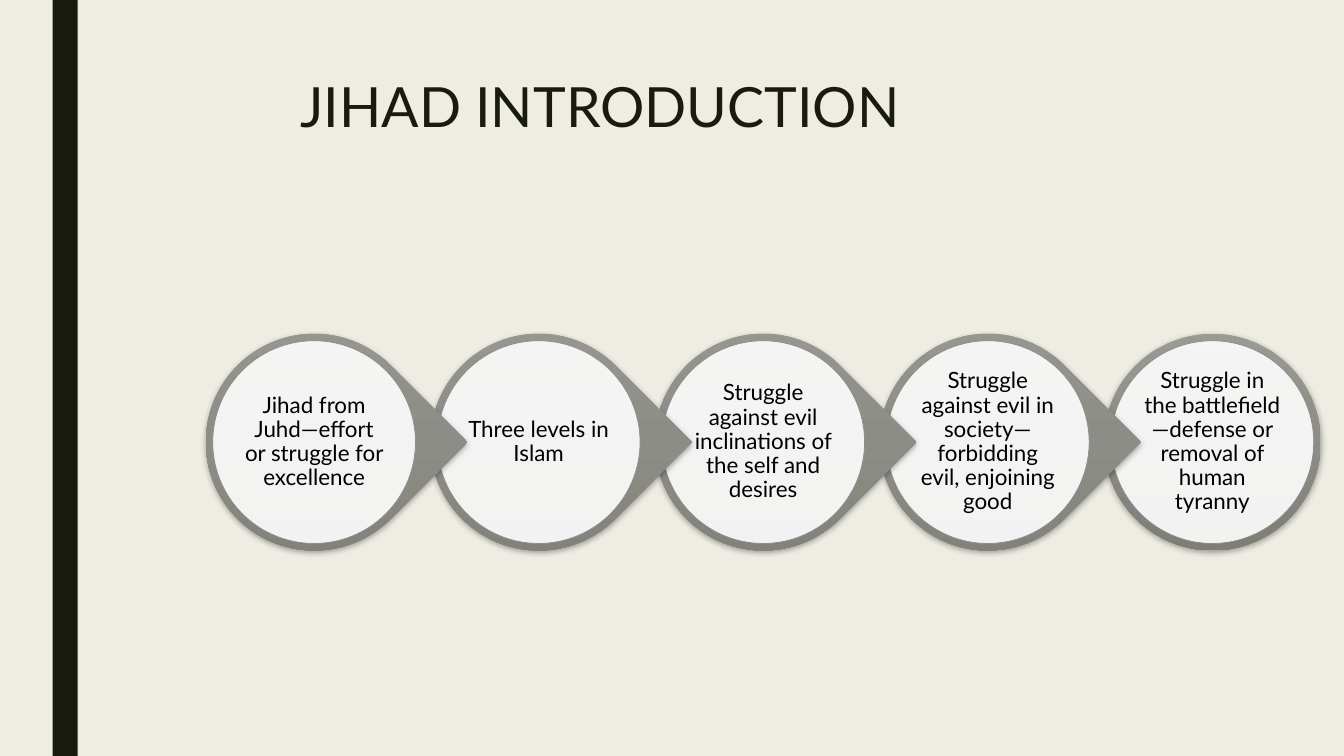
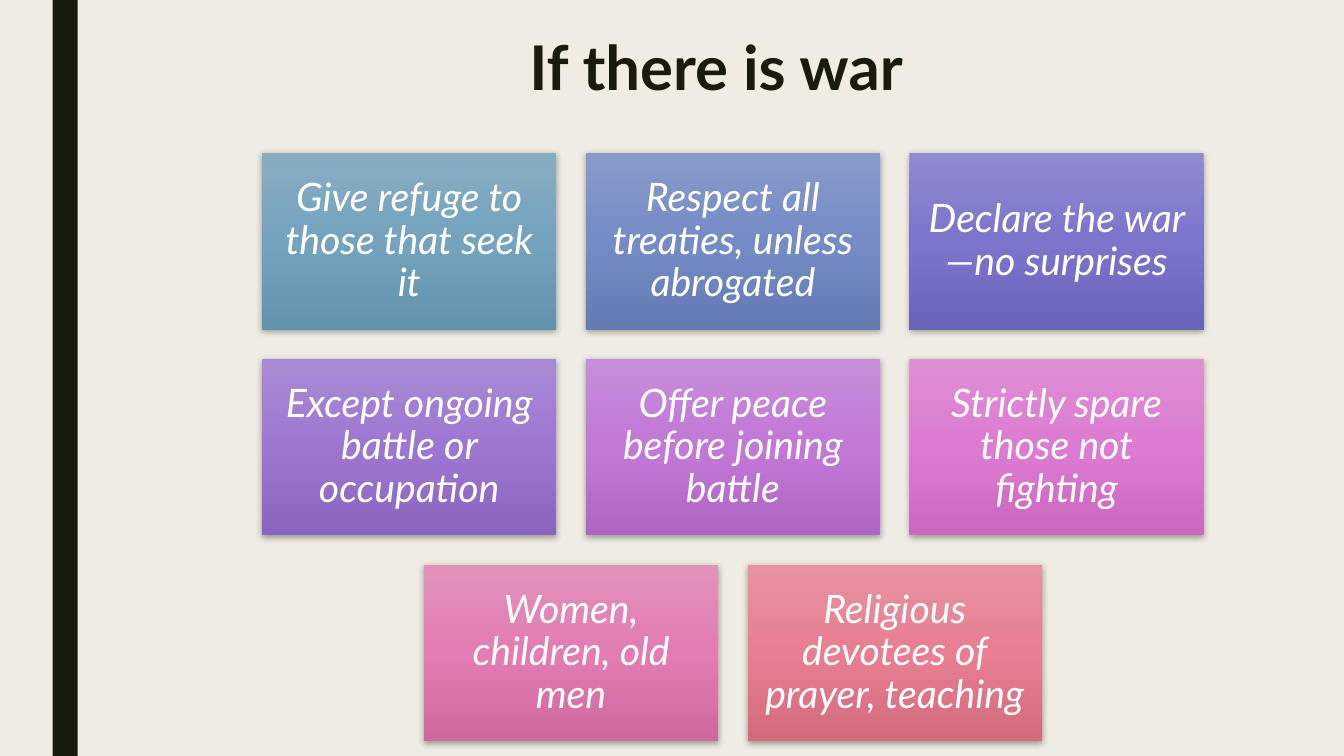
"""Build two slides: an overview of jihad levels and rules of war."""
from copy import deepcopy

from pptx import Presentation
from pptx.dml.color import RGBColor
from pptx.enum import shapes, text
from pptx.oxml import parse_xml
from pptx.oxml.ns import nsdecls, qn
from pptx.util import Pt

FONT = "Lato"
PAPER, INK, WHITE, BLACK = "EFEDE3", "191B0E", "FFFFFF", "000000"
GREY = ("999A94", "8C8D86", "7D7E76")
WIDTH, HEIGHT = 960, 540

LEVELS = [
    "Jihad from Juhd—effort or struggle for excellence",
    "Three levels in Islam",
    "Struggle against evil inclinations of the self and desires",
    "Struggle against evil in society—forbidding evil, enjoining good",
    "Struggle in the battlefield—defense or removal of human tyranny",
]
RULES = [
    ("Give refuge to those that seek it", ("88ADC3", "74A3BE", "6392AD")),
    ("Respect all treaties, unless abrogated", ("899AC9", "748BC5", "637AB3")),
    ("Declare the war—no surprises", ("8E8ACF", "7B75CC", "6963B9")),
    ("Except ongoing battle or occupation", ("A98BD4", "9D76D2", "8A64BF")),
    ("Offer peace before joining battle", ("C78DD9", "C178D7", "AF65C4")),
    ("Strictly spare those not fighting", ("DE8FD4", "DD7AD1", "CA67BE")),
    ("Women, children, old men", ("E291BB", "E27CB2", "CE699E")),
    ("Religious devotees of prayer, teaching", ("E793A2", "E77E91", "D36B7D")),
]


def color(hex_value):
    """Turn a hex string into a colour."""
    return RGBColor.from_string(hex_value)


def add_shape(slide, kind, left, top, width, height, fill=None):
    """Add a preset shape without line or shadow."""
    shape = slide.shapes.add_shape(kind, Pt(left), Pt(top), Pt(width), Pt(height))
    shape.line.fill.background()
    shape.shadow.inherit = False
    if fill:
        shape.fill.solid()
        shape.fill.fore_color.rgb = color(fill)
    return shape


def shade(shape, tones):
    """Give a shape a three-tone vertical gradient and a soft shadow."""
    shape.fill.gradient()
    shape.fill.gradient_angle = 270
    properties = shape._element.spPr
    gradient = properties.find(qn("a:gradFill"))
    gradient.set("rotWithShape", "0")
    stops = gradient.find(qn("a:gsLst"))
    stops.append(deepcopy(stops[0]))
    for index, (stop, tone) in enumerate(zip(shape.fill.gradient_stops, tones)):
        stop.position = index / 2
        stop.color.rgb = color(tone)
    properties.find(qn("a:effectLst")).append(parse_xml(
        f'<a:outerShdw {nsdecls("a")} blurRad="{Pt(4.5)}" dist="{Pt(1.5)}" '
        f'dir="5400000" rotWithShape="0"><a:srgbClr val="{BLACK}">'
        '<a:alpha val="35000"/></a:srgbClr></a:outerShdw>'))


def write(shape, words, size, tone, margin, spacing=0.9, align=text.PP_ALIGN.CENTER,
          anchor=text.MSO_ANCHOR.MIDDLE, bold=False, italic=False):
    """Write one paragraph into a shape."""
    frame = shape.text_frame
    frame.word_wrap = True
    frame.vertical_anchor = anchor
    frame.margin_left = frame.margin_right = Pt(margin)
    frame.margin_top = frame.margin_bottom = Pt(margin)
    paragraph = frame.paragraphs[0]
    paragraph.alignment = align
    paragraph.line_spacing = spacing
    run = paragraph.add_run()
    run.text = words
    font = run.font
    font.name, font.size, font.bold, font.italic = FONT, Pt(size), bold, italic
    font.color.rgb = color(tone)


def add_base(deck, title, left, top, size, bold=False):
    """Add a slide with its background, side band and title."""
    slide = deck.slides.add_slide(deck.slide_layouts[6])
    slide.background.fill.solid()
    slide.background.fill.fore_color.rgb = color(PAPER)
    add_shape(slide, shapes.MSO_SHAPE.RECTANGLE, 37.5, 0, 18, HEIGHT, INK)
    heading = slide.shapes.add_textbox(Pt(left), Pt(top), Pt(866 - left), Pt(55))
    write(heading, title, size, INK, 3.6, 0.89, text.PP_ALIGN.LEFT,
          text.MSO_ANCHOR.TOP, bold)
    return slide


def add_level(slide, words, left, top, size, is_last):
    """Add one link of the chain: a pointed disc with a pale face."""
    oval = shapes.MSO_SHAPE.OVAL
    disc = add_shape(slide, oval if is_last else shapes.MSO_SHAPE.TEAR,
                     left, top, size, size)
    disc.rotation = 0 if is_last else 45
    shade(disc, GREY)
    rim = 5
    face = add_shape(slide, oval, left + rim, top + rim,
                     size - 2 * rim, size - 2 * rim, WHITE)
    tint = face._element.spPr.find(qn("a:solidFill"))[0]
    tint.append(parse_xml(f'<a:alpha {nsdecls("a")} val="90000"/>'))
    face.line.fill.solid()
    face.line.color.rgb = color(GREY[1])
    face.line.width = Pt(0.5)
    write(face, words, 16, BLACK, 0.75)


def add_chain(slide, levels, left, top, size=154.8, pitch=160.4):
    """Add the chain from right to left, so that each point overlaps the next disc."""
    last = len(levels) - 1
    for index in range(last, -1, -1):
        add_level(slide, levels[index], left + index * pitch, top, size, index == last)


def add_tiles(slide, rules, left, top, columns=3, width=210.2, height=126, gap=21):
    """Add a grid of tiles with its last row centred."""
    for index, (words, tones) in enumerate(rules):
        row, column = divmod(index, columns)
        missing = max(0, columns - (len(rules) - row * columns))
        tile = add_shape(slide, shapes.MSO_SHAPE.RECTANGLE,
                         left + (column + missing / 2) * (width + gap),
                         top + row * (height + gap), width, height)
        shade(tile, tones)
        write(tile, words, 28, WHITE, 8.4, italic=True)


def main():
    """Build and save the presentation."""
    deck = Presentation()
    deck.slide_width, deck.slide_height = Pt(WIDTH), Pt(HEIGHT)
    introduction = add_base(deck, "JIHAD INTRODUCTION", 211, 54, 39.6)
    add_chain(introduction, LEVELS, 147, 238.4)
    war = add_base(deck, "If there is war", 374.5, 23.8, 44, bold=True)
    add_tiles(war, RULES, 187.2, 109.4)
    deck.save("out.pptx")


if __name__ == "__main__":
    main()
